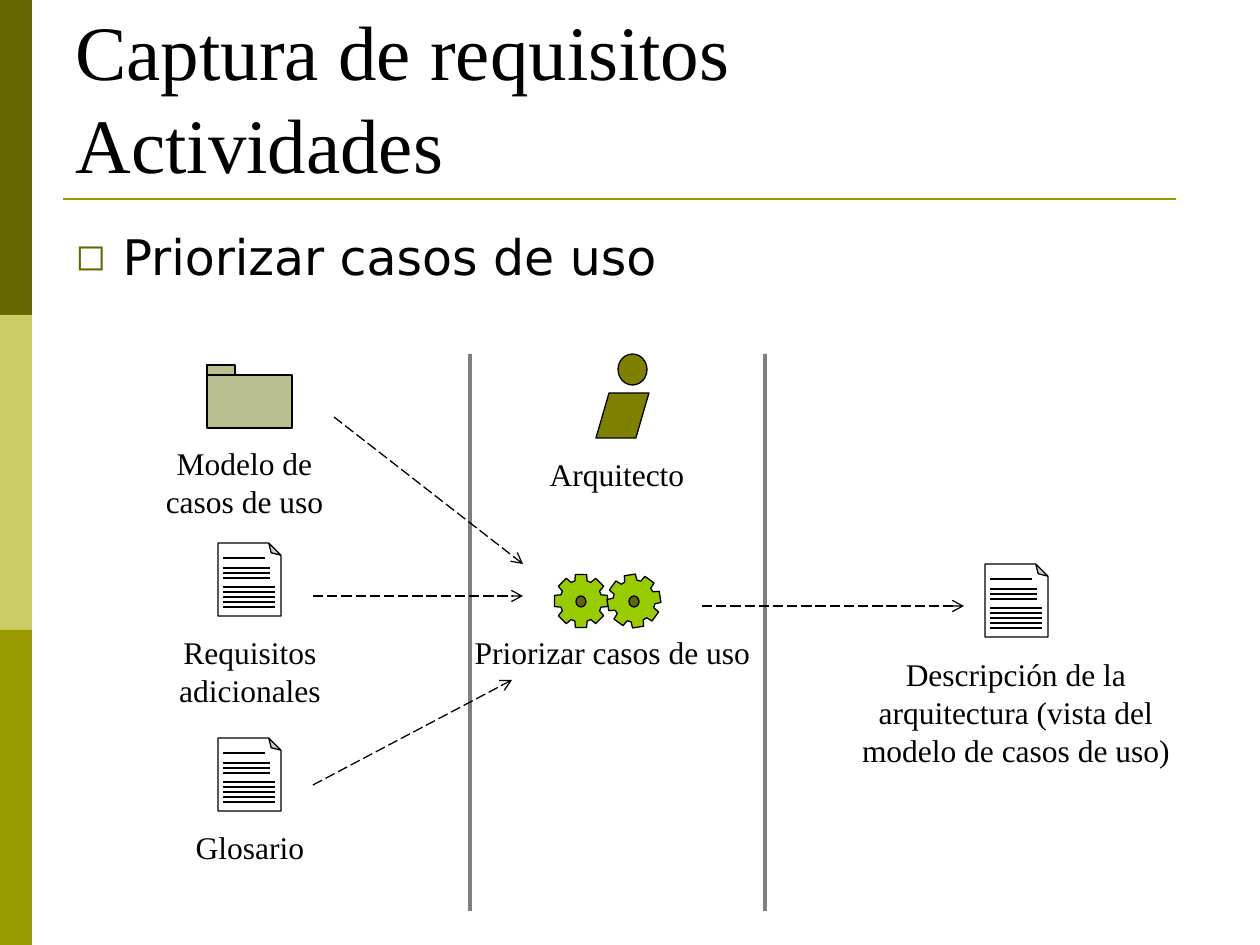
from math import cos, radians, sin

from pptx import Presentation
from pptx.dml.color import RGBColor
from pptx.enum.dml import MSO_LINE
from pptx.enum.shapes import MSO_CONNECTOR, MSO_SHAPE
from pptx.enum.text import MSO_ANCHOR, MSO_AUTO_SIZE, PP_ALIGN
from pptx.oxml.ns import qn
from pptx.oxml.xmlchemy import OxmlElement
from pptx.util import Pt

RECT, OVAL = MSO_SHAPE.RECTANGLE, MSO_SHAPE.OVAL
SLANTED, FOLDED = MSO_SHAPE.PARALLELOGRAM, MSO_SHAPE.FOLDED_CORNER
STRAIGHT, LONG_DASH = MSO_CONNECTOR.STRAIGHT, MSO_LINE.LONG_DASH
LEFT, CENTER = PP_ALIGN.LEFT, PP_ALIGN.CENTER
TOP, BOTTOM = MSO_ANCHOR.TOP, MSO_ANCHOR.BOTTOM
NO_FIT = MSO_AUTO_SIZE.NONE

BLACK = RGBColor(0x00, 0x00, 0x00)
WHITE = RGBColor(0xFF, 0xFF, 0xFF)
DARK_OLIVE = RGBColor(0x66, 0x66, 0x00)
LIGHT_OLIVE = RGBColor(0xCC, 0xCC, 0x66)
OLIVE = RGBColor(0x99, 0x99, 0x00)
WORKER = RGBColor(0x80, 0x80, 0x00)
FOLDER = RGBColor(0xBA, 0xBE, 0x90)
GEAR = RGBColor(0x99, 0xCC, 0x00)

SERIF, SANS = "Times New Roman", "DejaVu Sans"


def px(n):
    """Turn pixels at 126 to the inch into EMU."""
    return round(n * 914400 / 126)


def add_element(parent, tag, **attrs):
    """Append an XML element with the given attributes and return it."""
    child = OxmlElement(tag)
    for name, value in attrs.items():
        child.set(name, value)
    parent.append(child)
    return child


def paint(sp, fill, outlined=True):
    """Give a shape a flat fill and an optional thin black outline."""
    sp.shadow.inherit = False
    sp.fill.solid()
    sp.fill.fore_color.rgb = fill
    if outlined:
        sp.line.color.rgb = BLACK
        sp.line.width = Pt(0.75)
    else:
        sp.line.fill.background()


def add_preset(s, kind, x, y, w, h, fill, outlined=True):
    """Add a filled preset shape."""
    sp = s.shapes.add_shape(kind, px(x), px(y), px(w), px(h))
    paint(sp, fill, outlined)
    return sp


def add_line(s, x1, y1, x2, y2, width, color=BLACK):
    """Add a straight line without a shadow."""
    line = s.shapes.add_connector(STRAIGHT, px(x1), px(y1), px(x2), px(y2))
    line.line.color.rgb = color
    line.line.width = Pt(width)
    add_element(line._element.spPr, "a:effectLst")
    return line


def add_divider(s, x):
    """Add a half-transparent vertical divider."""
    line = add_line(s, x, 354, x, 911, 2.25)
    color = next(line._element.spPr.iter(qn("a:srgbClr")))
    add_element(color, "a:alpha", val="50000")


def add_arrow(s, x1, y1, x2, y2):
    """Add a dashed line that ends in an open arrowhead."""
    line = add_line(s, x1, y1, x2, y2, 0.75)
    line.line.dash_style = LONG_DASH
    ln = line._element.spPr.find(qn("a:ln"))
    add_element(ln, "a:tailEnd", type="arrow", w="med", len="med")


def format_text(tf, size, font, align, anchor):
    """Format every paragraph and run of a text frame."""
    tf.word_wrap = True
    tf.auto_size = NO_FIT
    tf.vertical_anchor = anchor
    for p in tf.paragraphs:
        p.alignment = align
        for r in p.runs:
            r.font.size = Pt(size)
            r.font.name = font
            r.font.color.rgb = BLACK


def add_label(s, text, x, y, w, h):
    """Add a centred caption."""
    tf = s.shapes.add_textbox(px(x), px(y), px(w), px(h)).text_frame
    tf.text = text
    format_text(tf, 18, SERIF, CENTER, TOP)


def fill_placeholder(sp, text, x, y, w, h, size, font, anchor):
    """Move a placeholder, write its text and format it."""
    sp.left, sp.top, sp.width, sp.height = px(x), px(y), px(w), px(h)
    sp.text_frame.text = text
    format_text(sp.text_frame, size, font, LEFT, anchor)


def add_bullet(p):
    """Give a paragraph a hanging square bullet."""
    p.space_before = Pt(7)
    pPr = p._p.get_or_add_pPr()
    pPr.set("marL", str(px(47)))
    pPr.set("indent", str(-px(47)))
    color = add_element(pPr, "a:buClr")
    add_element(color, "a:srgbClr", val=str(DARK_OLIVE))
    add_element(pPr, "a:buSzPct", val="75000")
    add_element(pPr, "a:buFont", typeface=SANS)
    add_element(pPr, "a:buChar", char="◻")


def add_document(s, x, y):
    """Add a page with a folded corner and lines of writing."""
    page = add_preset(s, FOLDED, x, y, 63, 73, WHITE)
    guides = next(page._element.spPr.iter(qn("a:avLst")))
    add_element(guides, "a:gd", name="adj", fmla="val 19300")
    page.rotation = 180
    page._element.spPr.get_or_add_xfrm().set("flipH", "1")
    for length, offsets in ((42, [15]), (47, range(25, 36, 5)), (52, range(44, 65, 5))):
        for dy in offsets:
            add_line(s, x + 5, y + dy, x + 5 + length, y + dy, 1.25)


def add_gear(s, cx, cy, phase):
    """Add an eight-toothed gear with a hub."""
    points = []
    for tooth in range(8):
        for offset, radius in ((-17, 21), (-12, 27), (12, 27), (17, 21)):
            angle = radians(45 * tooth + phase + offset)
            points.append((px(cx + radius * cos(angle)), px(cy + radius * sin(angle))))
    builder = s.shapes.build_freeform(*points[0])
    builder.add_line_segments(points[1:])
    paint(builder.convert_to_shape(), GEAR)
    add_preset(s, OVAL, cx - 5, cy - 5, 10, 11, DARK_OLIVE)


def add_frame(s):
    """Add the side bars, the rule, the title and the list."""
    for i, color in enumerate((DARK_OLIVE, LIGHT_OLIVE, OLIVE)):
        add_preset(s, RECT, 0, 315 * i, 32, 315, color, False)
    add_line(s, 63, 199, 1176, 199, 1.5, OLIVE)
    title, body = s.placeholders
    fill_placeholder(title, "Captura de requisitos\vActividades",
                     63, 38, 1134, 157, 44, SERIF, BOTTOM)
    fill_placeholder(body, "Priorizar casos de uso", 63, 220, 1134, 624, 28, SANS, TOP)
    add_bullet(body.text_frame.paragraphs[0])


def add_diagram(s):
    """Add the inputs, the worker, the activity and the result."""
    worker = add_preset(s, SLANTED, 596, 393, 53, 45, WORKER)
    worker.adjustments[0] = 0.29
    add_preset(s, OVAL, 618, 354, 29, 31, WORKER)
    for x in (470, 765):
        add_divider(s, x)
    add_gear(s, 581, 601, 0)
    add_gear(s, 634, 601, -9)
    add_preset(s, RECT, 207, 375, 85, 53, FOLDER)
    add_preset(s, RECT, 207, 365, 28, 10, FOLDER)
    for x, y in ((985, 564), (218, 543), (218, 738)):
        add_document(s, x, y)
    for label in (
        ("Arquitecto", 533, 449, 168, 50),
        ("Priorizar casos de uso", 460, 627, 305, 88),
        ("Descripción de la arquitectura (vista del modelo de casos de uso)",
         827, 649, 378, 126),
        ("Modelo de casos de uso", 134, 438, 221, 88),
        ("Requisitos adicionales", 166, 627, 168, 88),
        ("Glosario", 166, 822, 168, 50),
    ):
        add_label(s, *label)
    for ends in ((702, 606, 964, 606), (334, 417, 523, 564),
                 (313, 596, 523, 596), (313, 785, 512, 680)):
        add_arrow(s, *ends)


def main():
    """Build the slide and save it."""
    prs = Presentation()
    prs.slide_width, prs.slide_height = px(1260), px(945)
    s = prs.slides.add_slide(prs.slide_layouts[1])
    add_frame(s)
    add_diagram(s)
    prs.save("out.pptx")


if __name__ == "__main__":
    main()
